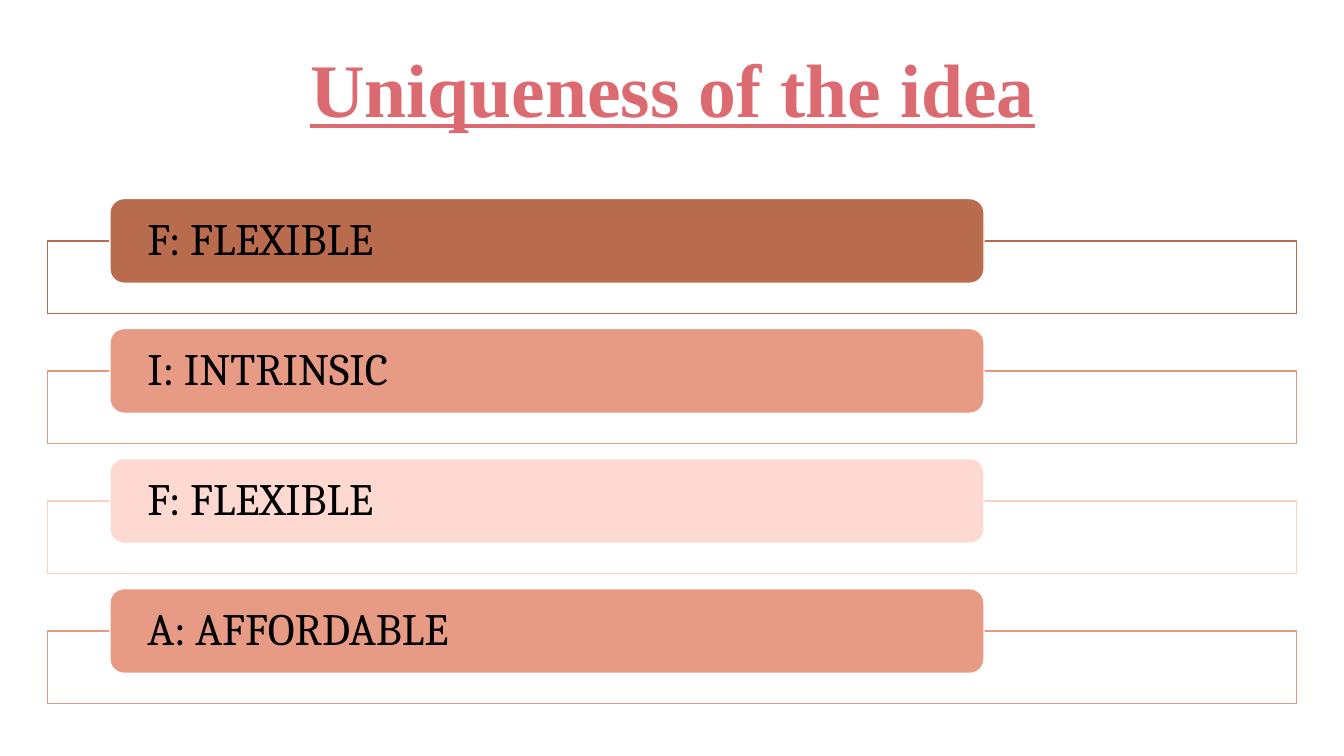
from pptx import Presentation
from pptx.dml.color import RGBColor as Rgb
from pptx.enum.shapes import MSO_SHAPE as Shape
from pptx.enum.text import MSO_ANCHOR as Anchor, PP_ALIGN as Align
from pptx.util import Inches, Pt

ROWS = [
    ("F: FLEXIBLE", "B96B4E", "B96B4E"),
    ("I: INTRINSIC", "E79A84", "E6967E"),
    ("F: FLEXIBLE", "FDD9D1", "FCCFC4"),
    ("A: AFFORDABLE", "E79A84", "E6967E"),
]
TOP, PITCH = 1.97, 1.29


def tint(color, code):
    """Give a colour format a hex value."""
    color.rgb = Rgb.from_string(code)


def write(shape, text, size, face, code, align, anchor, pad):
    """Set one styled paragraph in a shape and return its font."""
    frame = shape.text_frame
    frame.word_wrap = True
    frame.vertical_anchor = anchor
    frame.margin_left = frame.margin_right = Inches(pad)
    para = frame.paragraphs[0]
    para.text = text
    para.alignment = align
    para.line_spacing = 0.9
    font = para.runs[0].font
    font.size = Pt(size)
    font.name = face
    tint(font.color, code)
    return font


def panel(slide, kind, box, fill, edge):
    """Draw a filled, outlined shape."""
    shape = slide.shapes.add_shape(kind, *map(Inches, box))
    shape.shadow.inherit = False
    shape.fill.solid()
    tint(shape.fill.fore_color, fill)
    tint(shape.line.color, edge)
    shape.line.width = Pt(1)
    return shape


def title(slide, text):
    """Add the underlined heading."""
    box = slide.shapes.add_textbox(*map(Inches, (1.17, 0.45, 11, 0.93)))
    font = write(box, text, 54, "Times New Roman", "DB6B70",
                 Align.CENTER, Anchor.BOTTOM, 0.1)
    font.bold = font.underline = True


def entry(slide, top, text, fill, edge):
    """Add a framed row with its rounded label."""
    panel(slide, Shape.RECTANGLE, (0.47, top + 0.42, 12.39, 0.72),
          "FFFFFF", edge)
    label = panel(slide, Shape.ROUNDED_RECTANGLE, (1.09, top, 8.67, 0.84),
                  fill, "FFFFFF")
    write(label, text, 32, "Cambria", "000000",
          Align.LEFT, Anchor.MIDDLE, 0.33)


def main():
    """Build and save the slide."""
    deck = Presentation()
    deck.slide_width, deck.slide_height = Inches(13.33), Inches(7.5)
    slide = deck.slides.add_slide(deck.slide_layouts[6])
    title(slide, "Uniqueness of the idea")
    for row, (text, fill, edge) in enumerate(ROWS):
        entry(slide, TOP + row * PITCH, text, fill, edge)
    deck.save("out.pptx")


if __name__ == "__main__":
    main()
